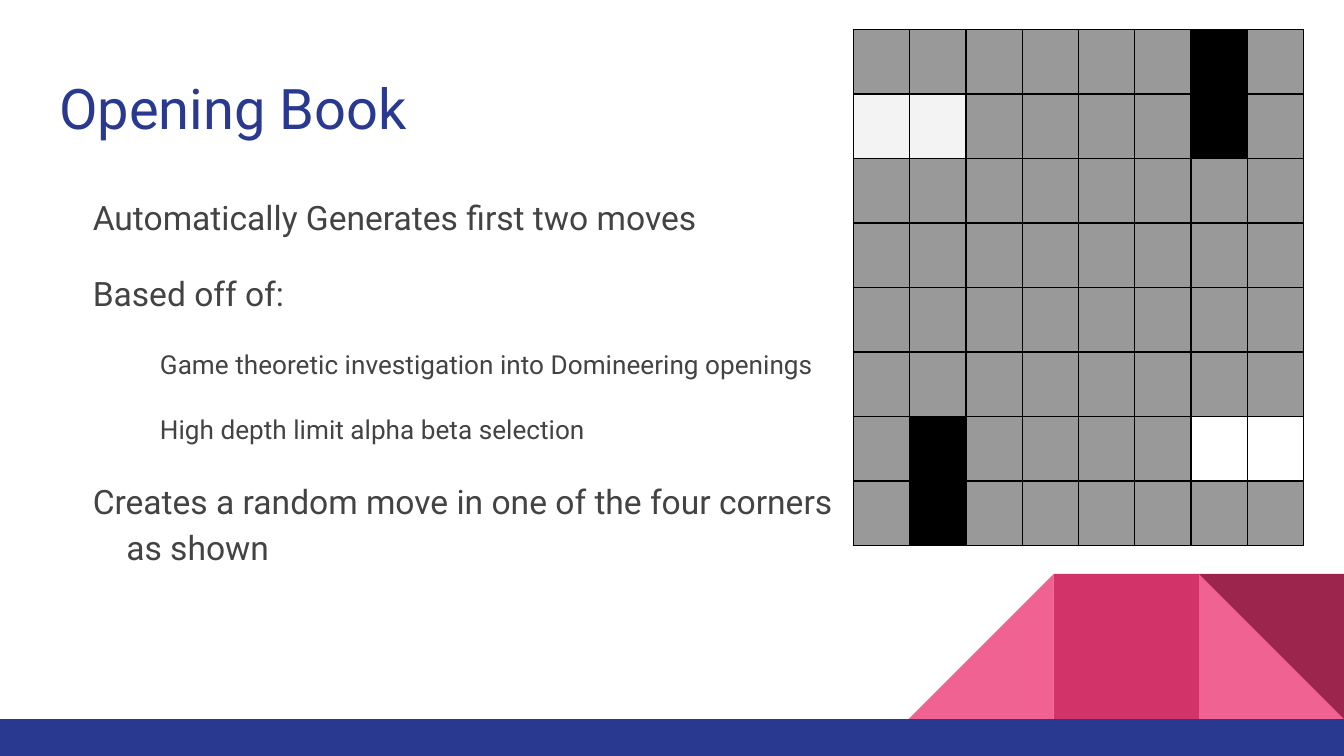
"""Build the Opening Book slide with its Domineering board."""
import pptx
import pptx.dml.color
import pptx.enum.shapes
import pptx.enum.text
import pptx.oxml
import pptx.oxml.ns
import pptx.util

Inches, Pt = pptx.util.Inches, pptx.util.Pt
SHAPE = pptx.enum.shapes.MSO_SHAPE

HEADING = "Opening Book"
POINTS = [
    (0, "Automatically Generates first two moves"),
    (0, "Based off of:"),
    (1, "Game theoretic investigation into Domineering openings"),
    (1, "High depth limit alpha beta selection"),
    (0, "Creates a random move in one of the four corners as shown"),
]
POINT_SIZES = [18, 14]
BOARD = [
    "......B.",
    "LL....B.",
    "........",
    "........",
    "........",
    "........",
    ".B....WW",
    ".B......",
]
SQUARES = {".": "999999", "B": "000000", "L": "F3F3F3", "W": "FFFFFF"}
BOARD_WIDTH, ROW = 3.35, 0.48
SLIDE_WIDTH = 10
SLIDE_HEIGHT = SLIDE_WIDTH * 9 / 16
NAVY, TILE, BAR_TOP = "2A3990", 1.08, 5.35
TILES = [
    (SHAPE.RIGHT_TRIANGLE, 1, 0, "F06292"),
    (SHAPE.RIGHT_TRIANGLE, 3, 270, "F06292"),
    (SHAPE.RECTANGLE, 2, 0, "D23369"),
    (SHAPE.RIGHT_TRIANGLE, 1, 180, "9C254D"),
]


def paint(fill, color):
    fill.solid()
    fill.fore_color.rgb = pptx.dml.color.RGBColor.from_string(color)


def add_block(slide, kind, left, top, width, height, color):
    block = slide.shapes.add_shape(kind, *map(Inches, (left, top, width, height)))
    paint(block.fill, color)
    block.line.fill.background()
    block.shadow.inherit = False
    return block


def place(holder, left, top, width, height):
    holder.left, holder.top, holder.width, holder.height = map(Inches, (left, top, width, height))
    frame = holder.text_frame
    frame.margin_left = frame.margin_right = Inches(0.1)
    frame.margin_top = frame.margin_bottom = Inches(0.1)
    frame.word_wrap = True
    frame.auto_size = pptx.enum.text.MSO_AUTO_SIZE.NONE
    frame.vertical_anchor = pptx.enum.text.MSO_ANCHOR.TOP
    return frame


def style(paragraph, size, color):
    paragraph.alignment = pptx.enum.text.PP_ALIGN.LEFT
    paragraph.space_before = Pt(0)
    for run in paragraph.runs:
        run.font.name, run.font.size = "Roboto", Pt(size)
        paint(run.font.fill, color)


def add_points(frame):
    frame.text = "\n".join(text for _, text in POINTS)
    for paragraph, (level, _) in zip(frame.paragraphs, POINTS):
        paragraph.level = level
        paragraph.line_spacing, paragraph.space_after = 1.15, Pt(16)
        style(paragraph, POINT_SIZES[level], "434343")
        properties = paragraph._p.get_or_add_pPr()
        properties.set("marL", str(Inches(0.5 * (level + 1))))
        properties.set("indent", str(Inches(-0.25)))
        properties.append(pptx.oxml.parse_xml(f'<a:buNone {pptx.oxml.ns.nsdecls("a")}/>'))


def outline(cell):
    for index, side in enumerate("LRTB"):
        cell._tc.get_or_add_tcPr().insert(index, pptx.oxml.parse_xml(
            f'<a:ln{side} {pptx.oxml.ns.nsdecls("a")} w="{Pt(0.75)}">'
            f'<a:solidFill><a:srgbClr val="000000"/></a:solidFill></a:ln{side}>'))


def add_board(slide):
    rows, columns = len(BOARD), len(BOARD[0])
    board = slide.shapes.add_table(rows, columns, Inches(6.35), Inches(0.22),
                                   Inches(BOARD_WIDTH), Inches(rows * ROW)).table
    for row, squares in zip(board.rows, BOARD):
        for cell, square in zip(row.cells, squares):
            paint(cell.fill, SQUARES[square])
            outline(cell)


def main():
    deck = pptx.Presentation()
    deck.slide_width, deck.slide_height = Inches(SLIDE_WIDTH), Inches(SLIDE_HEIGHT)
    slide = deck.slides.add_slide(deck.slide_layouts[1])

    for kind, tiles_from_right, rotation, color in TILES:
        left = SLIDE_WIDTH - tiles_from_right * TILE
        tile = add_block(slide, kind, left, BAR_TOP - TILE, TILE, TILE, color)
        tile.rotation = rotation
    add_block(slide, SHAPE.RECTANGLE, 0, BAR_TOP, SLIDE_WIDTH, SLIDE_HEIGHT - BAR_TOP, NAVY)

    heading = place(slide.shapes.title, 0.34, 0.45, 9.32, 0.66)
    heading.text = HEADING
    style(heading.paragraphs[0], 30, NAVY)
    add_points(place(slide.placeholders[1], 0.34, 1.32, 6.01, 3.65))
    add_board(slide)
    deck.save("out.pptx")


if __name__ == "__main__":
    main()
